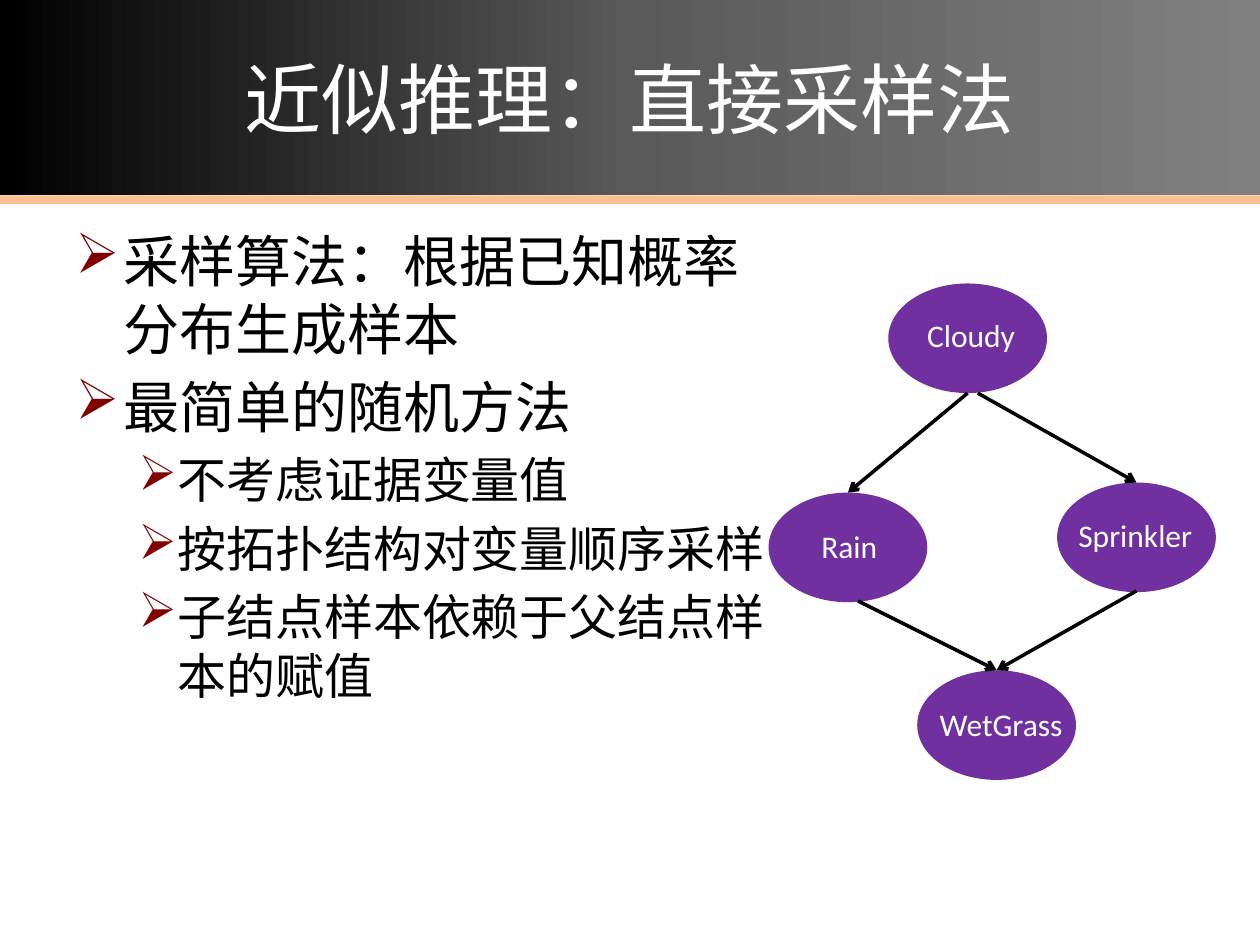
from dataclasses import dataclass

from lxml import etree
from pptx import Presentation
from pptx import util as u
from pptx.dml.color import RGBColor
from pptx.enum import shapes, text
from pptx.oxml import parse_xml
from pptx.oxml.ns import nsdecls, qn

# The slide is a grid of 100 columns by 75 rows.
COLUMNS, ROWS = 100, 75
CELL = u.Inches(0.1)
NODE_WIDTH, NODE_HEIGHT = 12.6, 8.7
LABEL_HEIGHT = 4
COLORS = {
    "white": "FFFFFF", "black": "000000", "gray": "595959", "light_gray": "808080",
    "accent": "FAC090", "bullet": "800000", "node": "7030A0",
}
CJK_FONT, LATIN_FONT = "Noto Sans CJK SC", "Calibri"


@dataclass(frozen=True)
class Label:
    wording: str
    column: float
    row: float
    width: float


@dataclass(frozen=True)
class Node:
    column: float
    row: float
    label: Label


@dataclass(frozen=True)
class Arrow:
    start: tuple[float, float]
    end: tuple[float, float]


@dataclass(frozen=True)
class Level:
    size: int
    line_height: float
    margin: float
    hanging: float


TOPIC = Level(32, 38.5, 3.8, 3.8)
DETAIL = Level(28, 33.5, 8.1, 3.1)
POINTS = [
    (TOPIC, "采样算法：根据已知概率分布生成样本"),
    (TOPIC, "最简单的随机方法"),
    (DETAIL, "不考虑证据变量值"),
    (DETAIL, "按拓扑结构对变量顺序采样"),
    (DETAIL, "子结点样本依赖于父结点样本的赋值"),
]
NODES = [
    Node(70.5, 22.5, Label("Cloudy", 72.6, 24.6, 12.6)),
    Node(83.9, 38.3, Label("Sprinkler", 84.6, 40.5, 13.4)),
    Node(61, 39.1, Label("Rain", 64.2, 41.3, 10.2)),
    Node(72.8, 53.2, Label("WetGrass", 73.6, 55.5, 13.4)),
]
ARROWS = [
    Arrow((77.6, 31.2), (90.2, 38.3)),
    Arrow((76.8, 31.2), (67.3, 39.1)),
    Arrow((68.1, 47.7), (79.1, 53.2)),
    Arrow((90.2, 46.9), (79.1, 53.2)),
]


def cells(*counts: float) -> list[int]:
    return [round(count * CELL) for count in counts]


def color(name: str) -> RGBColor:
    return RGBColor.from_string(COLORS[name])


def add_run(paragraph, wording: str, size: int, font: str, color_name: str) -> None:
    run = paragraph.add_run()
    run.text = wording
    run.font.size = u.Pt(size)
    run.font.name = font
    run.font.color.rgb = color(color_name)
    if font == CJK_FONT:
        etree.SubElement(run.font._element, qn("a:ea"), typeface=font)


def add_filled(slide, kind, fill: str, *place: float):
    shape = slide.shapes.add_shape(kind, *cells(*place))
    shape.shadow.inherit = False
    shape.fill.solid()
    shape.fill.fore_color.rgb = color(fill)
    shape.line.fill.background()
    return shape


def add_title(slide, wording: str) -> None:
    add_filled(slide, shapes.MSO_SHAPE.RECTANGLE, "accent", 0, 15.5, COLUMNS, 0.7)
    banner = add_filled(slide, shapes.MSO_SHAPE.RECTANGLE, "black", 0, 0, COLUMNS, 15.5)
    stops = "".join(
        f'<a:gs pos="{position}"><a:srgbClr val="{COLORS[name]}"/></a:gs>'
        for position, name in ((0, "black"), (50000, "gray"), (100000, "light_gray"))
    )
    gradient = parse_xml(
        f'<a:gradFill {nsdecls("a")} rotWithShape="1"><a:gsLst>{stops}</a:gsLst>'
        '<a:lin ang="0" scaled="0"/></a:gradFill>'
    )
    properties = banner._element.spPr
    properties.replace(properties.find(qn("a:solidFill")), gradient)
    banner.text_frame.vertical_anchor = text.MSO_ANCHOR.MIDDLE
    paragraph = banner.text_frame.paragraphs[0]
    paragraph.alignment = text.PP_ALIGN.CENTER
    add_run(paragraph, wording, 44, CJK_FONT, "white")


def add_bullet(paragraph, level: Level) -> None:
    properties = paragraph._p.get_or_add_pPr()
    margin, hanging = cells(level.margin, level.hanging)
    properties.set("marL", str(margin))
    properties.set("indent", str(-hanging))
    bullet_color = etree.SubElement(properties, qn("a:buClr"))
    etree.SubElement(bullet_color, qn("a:srgbClr"), val=COLORS["bullet"])
    etree.SubElement(properties, qn("a:buChar"), char="➢")


def add_points(slide, points: list[tuple[Level, str]]) -> None:
    frame = slide.shapes.add_textbox(*cells(5, 17.5, 58.4, 49.5)).text_frame
    frame.word_wrap = True
    for index, (level, wording) in enumerate(points):
        paragraph = frame.add_paragraph() if index else frame.paragraphs[0]
        paragraph.level = 1 if level is DETAIL else 0
        paragraph.line_spacing = u.Pt(level.line_height)
        paragraph.space_before = u.Pt(level.size * 0.2)
        add_bullet(paragraph, level)
        add_run(paragraph, wording, level.size, CJK_FONT, "black")


def add_label(slide, label: Label) -> None:
    place = cells(label.column, label.row, label.width, LABEL_HEIGHT)
    frame = slide.shapes.add_textbox(*place).text_frame
    frame.word_wrap = True
    add_run(frame.paragraphs[0], label.wording, 18, LATIN_FONT, "white")


def add_node(slide, node: Node) -> None:
    add_filled(slide, shapes.MSO_SHAPE.OVAL, "node",
               node.column, node.row, NODE_WIDTH, NODE_HEIGHT)
    add_label(slide, node.label)


def add_arrow(slide, arrow: Arrow) -> None:
    connector = slide.shapes.add_connector(
        shapes.MSO_CONNECTOR.STRAIGHT, *cells(*arrow.start, *arrow.end))
    connector.line.color.rgb = color("black")
    connector.line.width = u.Pt(2)
    etree.SubElement(connector.line._get_or_add_ln(), qn("a:tailEnd"), type="arrow")
    etree.SubElement(connector._element.spPr, qn("a:effectLst"))


def main() -> None:
    presentation = Presentation()
    presentation.slide_width, presentation.slide_height = cells(COLUMNS, ROWS)
    slide = presentation.slides.add_slide(presentation.slide_layouts[6])
    add_title(slide, "近似推理：直接采样法")
    add_points(slide, POINTS)
    for node in NODES:
        add_node(slide, node)
    for arrow in ARROWS:
        add_arrow(slide, arrow)
    presentation.save("out.pptx")


if __name__ == "__main__":
    main()
